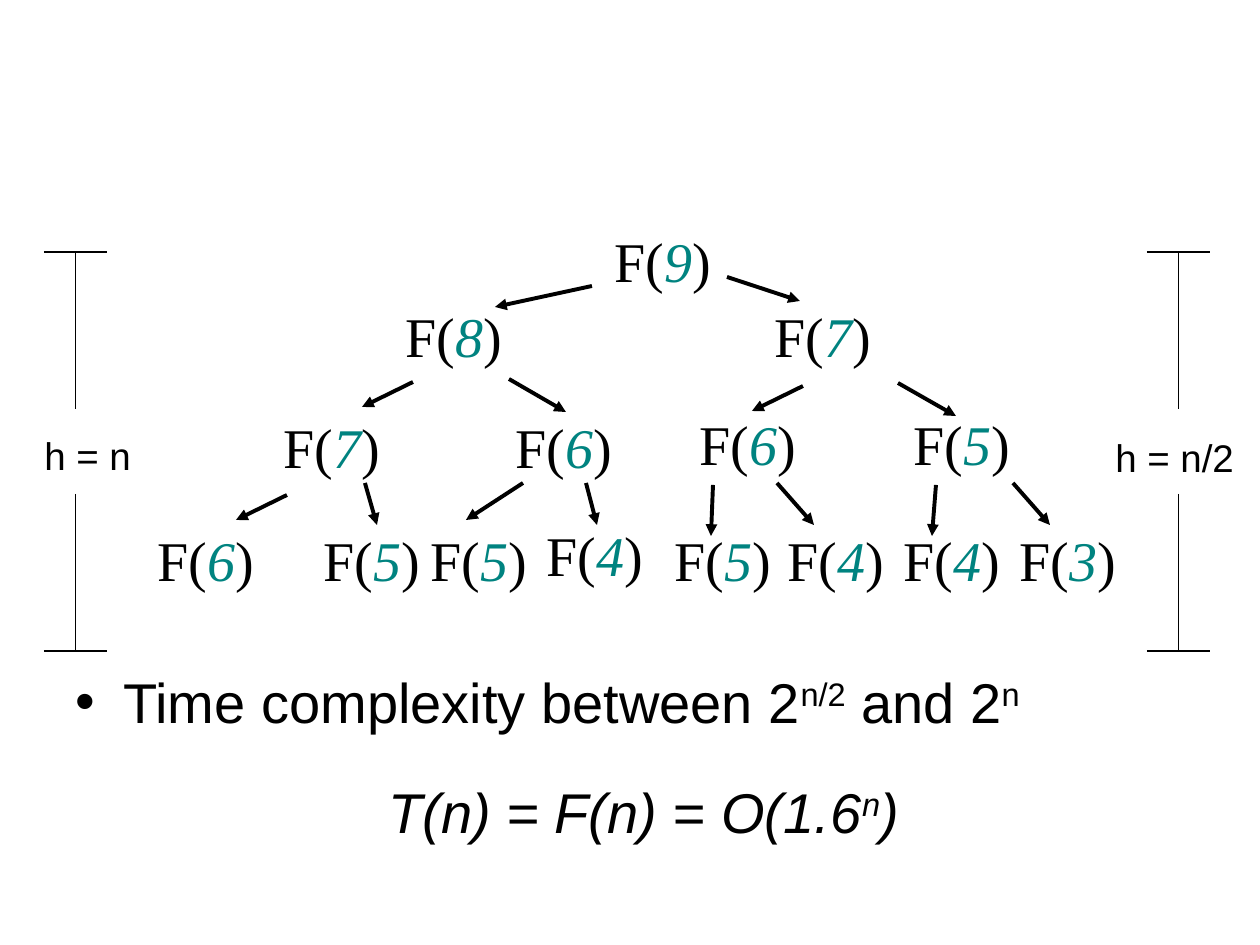
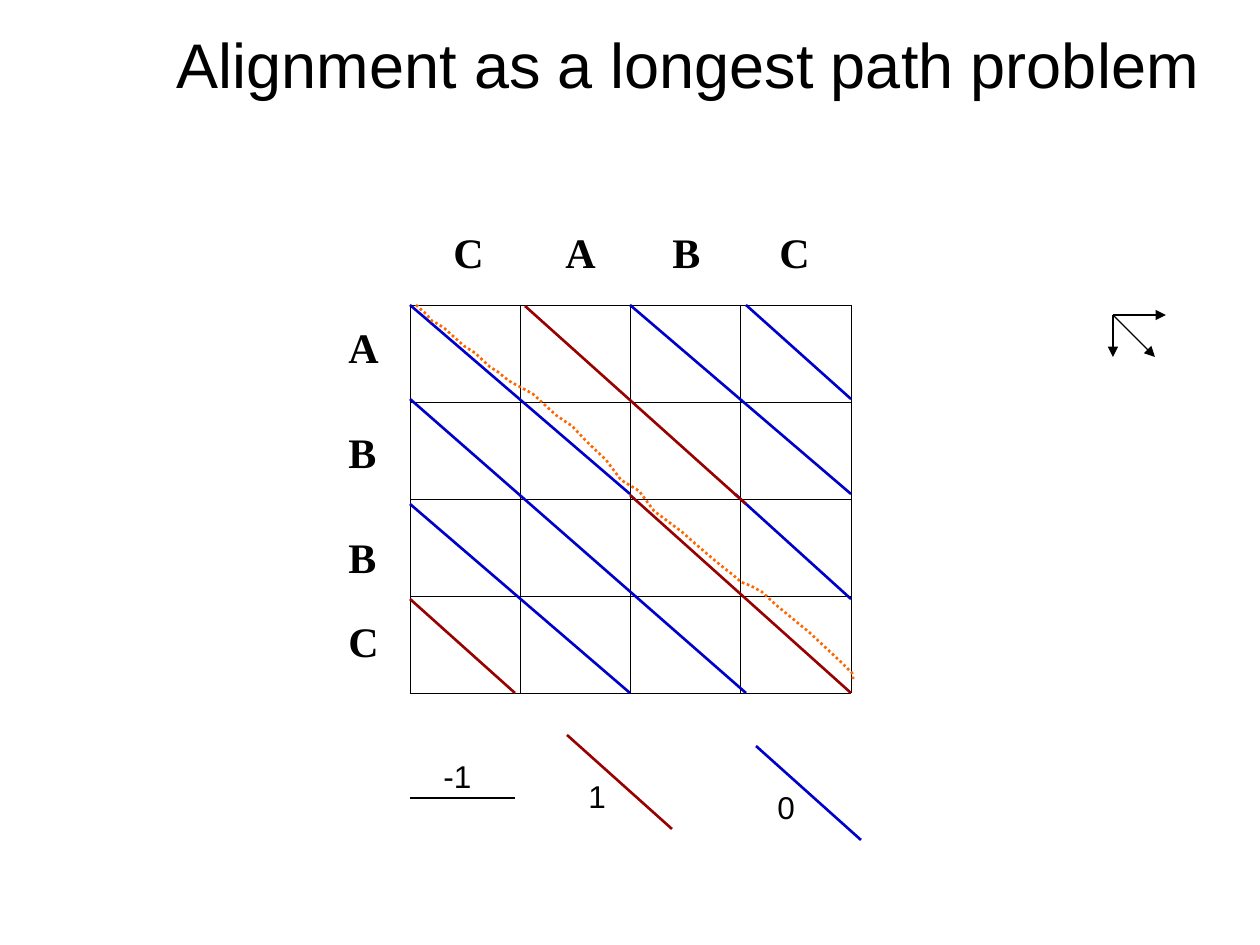
from lxml import etree
from pptx import Presentation
from pptx.dml.color import RGBColor
from pptx.enum.dml import MSO_LINE
from pptx.enum.shapes import MSO_CONNECTOR
from pptx.enum.text import MSO_ANCHOR, PP_ALIGN
from pptx.oxml.ns import qn
from pptx.util import Emu, Pt

PX = 914400 / 126
STRAIGHT = MSO_CONNECTOR.STRAIGHT
DOTTED = MSO_LINE.ROUND_DOT
MIDDLE, CENTER = MSO_ANCHOR.MIDDLE, PP_ALIGN.CENTER

BLACK = RGBColor(0x00, 0x00, 0x00)
TEAL = RGBColor(0x00, 0x83, 0x80)
BLUE = RGBColor(0x00, 0x00, 0xCC)
RED = RGBColor(0x99, 0x00, 0x00)
ORANGE = RGBColor(0xFF, 0x66, 0x00)
SANS, SERIF = "Arial", "Times New Roman"

# Recursion tree: (left, top, n) of each call F(n)
CALLS = [
    (602, 220, 9),
    (393, 295, 8), (762, 295, 7),
    (271, 406, 7), (503, 406, 6), (687, 403, 6), (901, 403, 5),
    (145, 519, 6), (311, 519, 5), (418, 519, 5), (534, 514, 4),
    (662, 519, 5), (775, 519, 4), (891, 519, 4), (1007, 519, 3),
]
CALL_ARROWS = [
    (592, 286, 495, 307), (727, 277, 800, 301),
    (413, 382, 362, 407), (509, 379, 566, 412),
    (803, 386, 752, 411), (898, 383, 956, 416),
    (287, 495, 236, 520), (365, 483, 377, 525),
    (523, 483, 466, 520), (586, 483, 597, 525),
    (713, 485, 711, 536), (777, 483, 814, 525),
    (936, 485, 932, 536), (1013, 483, 1050, 525),
]
# Height brackets: (left, label, label left, label top)
HEIGHTS = [(44, "h = n", 32, 426), (1147, "h = n/2", 1103, 428)]
BRACKET_TOP, BRACKET_BOTTOM, BRACKET_WIDTH = 252, 651, 63
BRACKET_GAP = (409, 494)
COMPLEXITY = [("Time complexity between 2", ""), ("n/2", "sup"),
              (" and 2", ""), ("n", "sup")]
FORMULA = [("T(n) = F(n) = O(1.6", "italic"), ("n", "italic sup"),
           (")", "italic")]

# Alignment grid
TITLE = "Alignment as a longest path problem"
GRID_LEFT, GRID_TOP, GRID_WIDTH, ROW_HEIGHT, GRID_SIZE = 410, 305, 441, 97, 4
COLUMN_LETTERS = [("C", 441), ("A", 553), ("B", 660), ("C", 767)]
ROW_LETTERS = [("A", 315), ("B", 420), ("B", 525), ("C", 609)]
LETTER_LEFT, LETTER_TOP = 336, 220
MOVES = [(1113, 315, 1166, 315), (1113, 315, 1113, 357),
         (1113, 315, 1155, 357)]
DIAGONALS = {
    BLUE: [(410, 305, 630, 494), (410, 399, 746, 693), (410, 504, 630, 693),
           (735, 494, 851, 599), (630, 305, 851, 494), (746, 305, 851, 399)],
    RED: [(410, 599, 515, 693), (630, 495, 851, 693), (525, 306, 746, 504)],
}
# Legend: (score, text left, text top, line, colour, line width)
LEGEND = [
    ("-1", 431, 751, (410, 798, 515, 798), BLACK, 1),
    ("1", 576, 771, (567, 735, 672, 829), RED, 1.5),
    ("0", 765, 782, (756, 746, 861, 840), BLUE, 1.5),
]
BEST_PATH = [
    (416, 305), (426, 314), (432, 321), (436, 323), (444, 328), (464, 346),
    (475, 353), (490, 367), (498, 372), (509, 381), (533, 394), (547, 407),
    (557, 416), (572, 426), (586, 441), (606, 460), (621, 480), (639, 491),
    (654, 511), (682, 532), (699, 547), (713, 559), (724, 568), (733, 575),
    (741, 582), (751, 586), (762, 592), (776, 605), (810, 633), (827, 649),
    (842, 663), (852, 673), (853, 676), (853, 682),
]


def px(n):
    return Emu(round(n * PX))


def add_text(s, x, y, w, h, runs, size, font=SANS, bold=False):
    """Add a text box; runs is a string or a list of (text, style words)."""
    tf = s.shapes.add_textbox(px(x), px(y), px(w), px(h)).text_frame
    tf.word_wrap = True
    for text, style in [(runs, "")] if isinstance(runs, str) else runs:
        r = tf.paragraphs[0].add_run()
        r.text = text
        r.font.name, r.font.size, r.font.bold = font, Pt(size), bold
        r.font.italic = "italic" in style
        r.font.color.rgb = TEAL if "teal" in style else BLACK
        if "sup" in style:
            r._r.get_or_add_rPr().set("baseline", "30000")
    return tf


def add_bullet(p, indent):
    pPr = p._p.get_or_add_pPr()
    pPr.set("marL", str(px(indent)))
    pPr.set("indent", str(-px(indent)))
    etree.SubElement(pPr, qn("a:buFont")).set("typeface", SANS)
    etree.SubElement(pPr, qn("a:buChar")).set("char", "•")


def add_line(s, ends, color=BLACK, width=0.75, arrow=False):
    line = s.shapes.add_connector(STRAIGHT, *map(px, ends))
    line.line.color.rgb = color
    line.line.width = Pt(width)
    if arrow:
        ln = line.line._get_or_add_ln()
        etree.SubElement(ln, qn("a:tailEnd")).set("type", "triangle")
    etree.SubElement(line._element.spPr, qn("a:effectLst"))


def add_bracket(s, left, label, label_left, label_top):
    middle = left + BRACKET_WIDTH / 2
    for y in (BRACKET_TOP, BRACKET_BOTTOM):
        add_line(s, (left, y, left + BRACKET_WIDTH, y))
    add_line(s, (middle, BRACKET_TOP, middle, BRACKET_GAP[0]))
    add_line(s, (middle, BRACKET_GAP[1], middle, BRACKET_BOTTOM))
    add_text(s, label_left, label_top, 150, 59, label, 22)


def set_borders(cell, width):
    tcPr = cell._tc.get_or_add_tcPr()
    for i, side in enumerate("LRTB"):
        ln = etree.Element(qn(f"a:ln{side}"), w=str(Pt(width)))
        fill = etree.SubElement(ln, qn("a:solidFill"))
        etree.SubElement(fill, qn("a:srgbClr")).set("val", str(BLACK))
        tcPr.insert(i, ln)


def add_grid(s):
    table = s.shapes.add_table(
        GRID_SIZE, GRID_SIZE, px(GRID_LEFT), px(GRID_TOP),
        px(GRID_WIDTH), px(GRID_SIZE * ROW_HEIGHT)).table
    table.first_row = table.horz_banding = False
    for column in table.columns:
        column.width = px(GRID_WIDTH / GRID_SIZE)
    for row in table.rows:
        row.height = px(ROW_HEIGHT)
    for cell in table.iter_cells():
        cell.fill.background()
        set_borders(cell, 0.45)


def add_best_path(s):
    start, *rest = BEST_PATH
    builder = s.shapes.build_freeform(*start, scale=PX)
    builder.add_line_segments(rest, close=False)
    sp = builder.convert_to_shape()
    sp.shadow.inherit = False
    sp.fill.background()
    sp.line.color.rgb = ORANGE
    sp.line.width = Pt(1.5)
    sp.line.dash_style = DOTTED


def build_tree_slide(s):
    tf = add_text(s, 63, 661, 1134, 110, COMPLEXITY, 32)
    add_bullet(tf.paragraphs[0], 48)
    for x, y, n in CALLS:
        call = [("F(", ""), (str(n), "italic teal"), (")", "")]
        add_text(s, x, y, 140, 80, call, 32, SERIF)
    for ends in CALL_ARROWS:
        add_line(s, ends, width=2.25, arrow=True)
    add_text(s, 376, 771, 560, 80, FORMULA, 32)
    for height in HEIGHTS:
        add_bracket(s, *height)


def build_alignment_slide(s):
    tf = add_text(s, 116, 0, 1144, 126, TITLE, 36)
    tf.vertical_anchor = MIDDLE
    tf.paragraphs[0].alignment = CENTER
    letters = [(c, LETTER_LEFT, y) for c, y in ROW_LETTERS]
    letters += [(c, x, LETTER_TOP) for c, x in COLUMN_LETTERS]
    for letter, x, y in letters:
        add_text(s, x, y, 60, 63, letter, 24, SERIF, bold=True)
    for ends in MOVES:
        add_line(s, ends, arrow=True)
    add_grid(s)
    for color, lines in DIAGONALS.items():
        for ends in lines:
            add_line(s, ends, color, 1.5)
    for score, x, y, ends, color, width in LEGEND:
        add_line(s, ends, color, width)
        add_text(s, x, y, 60, 50, score, 18)
    add_best_path(s)


def main():
    prs = Presentation()
    prs.slide_width, prs.slide_height = px(1260), px(945)
    for build in (build_tree_slide, build_alignment_slide):
        build(prs.slides.add_slide(prs.slide_layouts[6]))
    prs.save("out.pptx")


if __name__ == "__main__":
    main()
